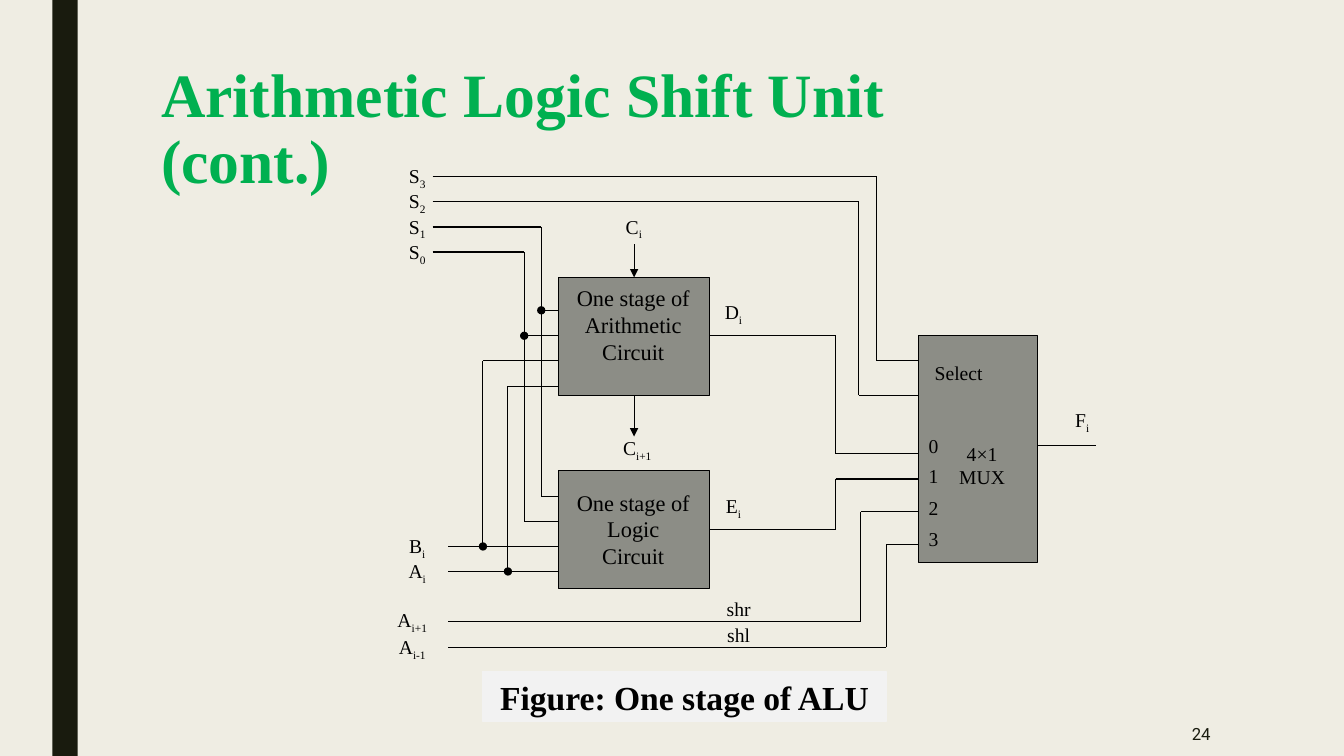
from dataclasses import dataclass
from itertools import pairwise

from lxml import etree
from pptx import Presentation
from pptx import util as u
from pptx.dml.color import RGBColor
from pptx.enum import shapes, text
from pptx.oxml import ns
from pptx.shapes.autoshape import Shape
from pptx.slide import Slide


@dataclass(frozen=True)
class Theme:
    background: str = "EFEDE3"
    dark: str = "191B0E"
    title: str = "00B050"
    block: str = "8C8D86"
    caption: str = "F2F2F2"
    ink: str = "000000"
    serif: str = "Times New Roman"
    sans: str = "Roboto"
    title_size: int = 44
    caption_size: int = 24
    block_size: int = 16
    label_size: int = 14
    number_size: int = 12
    line_width: float = 0.75


@dataclass(frozen=True)
class Box:
    left: float
    top: float
    width: float
    height: float
    fill: str
    line: str | None = None


@dataclass(frozen=True)
class Label:
    words: str
    left: float
    top: float
    width: float
    height: float = 0.85
    subscript: str = ""
    size: int = 14
    color: str = "000000"
    font: str = "Times New Roman"
    bold: bool = False
    align: text.PP_ALIGN = text.PP_ALIGN.CENTER
    anchor: text.MSO_ANCHOR = text.MSO_ANCHOR.TOP
    spacing: float = 1.0


@dataclass(frozen=True)
class Wire:
    points: tuple[tuple[float, float], ...]
    head: str = ""
    tail: str = ""


THEME = Theme()

SELECT_START, INPUT_START = 10.9, 11.3
STAGE_LEFT, STAGE_RIGHT, STAGE_CENTER = 14.07, 17.88, 15.98
MUX_LEFT, MUX_RIGHT = 23.16, 26.14
S0_X, S1_X, S2_X, S3_X = 13.21, 13.64, 21.64, 22.1
A_X, B_X, SHR_X, SHL_X, RESULT_X = 12.8, 12.17, 21.69, 22.33, 21.06
ROW_STEP = 0.635

BOXES = (
    Box(1.32, 0, 0.64, 19.05, THEME.dark),
    Box(STAGE_LEFT, 6.99, 3.81, 2.97, THEME.block, THEME.ink),
    Box(STAGE_LEFT, 11.86, 3.81, 2.97, THEME.block, THEME.ink),
    Box(MUX_LEFT, 8.46, 2.98, 5.72, THEME.block, THEME.ink),
    Box(12.17, 16.92, 10.16, 1.27, THEME.caption, THEME.caption),
)

WIRES = (
    Wire(((SELECT_START, 4.45), (S3_X, 4.45), (S3_X, 9.09), (MUX_LEFT, 9.09))),
    Wire(((SELECT_START, 5.08), (S2_X, 5.08), (S2_X, 9.96), (MUX_LEFT, 9.96))),
    Wire(((SELECT_START, 5.72), (S1_X, 5.72), (S1_X, 12.5), (STAGE_LEFT, 12.5))),
    Wire(((SELECT_START, 6.35), (S0_X, 6.35), (S0_X, 13.13), (STAGE_LEFT, 13.13))),
    Wire(((S1_X, 7.82), (STAGE_LEFT, 7.82)), head="oval"),
    Wire(((S0_X, 8.46), (STAGE_LEFT, 8.46)), head="oval"),
    Wire(((INPUT_START, 13.77), (STAGE_LEFT, 13.77))),
    Wire(((INPUT_START, 14.4), (STAGE_LEFT, 14.4))),
    Wire(((B_X, 13.77), (B_X, 9.09), (STAGE_LEFT, 9.09)), head="oval"),
    Wire(((A_X, 14.4), (A_X, 9.73), (STAGE_LEFT, 9.73)), head="oval"),
    Wire(((INPUT_START, 15.67), (SHR_X, 15.67), (SHR_X, 12.9), (MUX_LEFT, 12.9))),
    Wire(((INPUT_START, 16.31), (SHL_X, 16.31), (SHL_X, 13.72), (MUX_LEFT, 13.72))),
    Wire(((STAGE_RIGHT, 8.46), (RESULT_X, 8.46), (RESULT_X, 11.43), (MUX_LEFT, 11.43))),
    Wire(((STAGE_RIGHT, 13.34), (RESULT_X, 13.34), (RESULT_X, 12.07), (MUX_LEFT, 12.07))),
    Wire(((STAGE_CENTER, 6.15), (STAGE_CENTER, 6.99)), tail="triangle"),
    Wire(((STAGE_CENTER, 9.96), (STAGE_CENTER, 11)), tail="triangle"),
    Wire(((MUX_RIGHT, 11.23), (27.61, 11.23))),
)

LABELS = (
    Label("Arithmetic Logic Shift Unit (cont.)", 3.81, 1.52, 23.24, 2.24,
          size=THEME.title_size, color=THEME.title, bold=True,
          align=text.PP_ALIGN.LEFT, spacing=0.89),
    *(Label("S", 9.88, 4.01 + ROW_STEP * row, 1.27, subscript=str(3 - row))
      for row in range(4)),
    *(Label(str(row), 23.11, top, 0.84)
      for row, top in enumerate((10.8, 11.56, 12.37, 13.16))),
    Label("B", 9.88, 13.34, 1.27, subscript="i"),
    Label("A", 9.88, 13.97, 1.27, subscript="i"),
    Label("A", 9.63, 15.19, 1.52, subscript="i+1"),
    Label("A", 9.63, 15.88, 1.52, subscript="i-1"),
    Label("Select", 22.99, 8.97, 2.34),
    Label("4×1 MUX", 23.8, 11, 1.9, 1.45),
    Label("C", 15.34, 5.28, 1.27, subscript="i"),
    Label("C", 15.11, 10.87, 1.9, subscript="i+1"),
    Label("One stage of Arithmetic Circuit", 14.27, 7.04, 3.38, 3, size=THEME.block_size),
    Label("One stage of Logic Circuit", 14.27, 12.19, 3.38, 2.31, size=THEME.block_size),
    Label("D", 17.75, 7.44, 1.47, subscript="i"),
    Label("E", 17.75, 12.32, 1.47, subscript="i"),
    Label("F", 26.54, 10.16, 1.47, subscript="i"),
    Label("shr", 17.88, 14.91, 1.47),
    Label("shl", 17.88, 15.57, 1.47),
    Label("Figure: One stage of ALU", 12.17, 16.92, 10.16, 1.27,
          size=THEME.caption_size, bold=True),
    Label("24", 26.31, 17.93, 4.45, 1.12, size=THEME.number_size, color=THEME.dark,
          font=THEME.sans, align=text.PP_ALIGN.RIGHT, anchor=text.MSO_ANCHOR.MIDDLE),
)


def color_of(value: str) -> RGBColor:
    return RGBColor.from_string(value)


def draw_box(slide: Slide, box: Box) -> Shape:
    shape = slide.shapes.add_shape(
        shapes.MSO_SHAPE.RECTANGLE,
        u.Cm(box.left), u.Cm(box.top), u.Cm(box.width), u.Cm(box.height))
    shape.shadow.inherit = False
    shape.fill.solid()
    shape.fill.fore_color.rgb = color_of(box.fill)
    if box.line:
        shape.line.color.rgb = color_of(box.line)
        shape.line.width = u.Pt(THEME.line_width)
    else:
        shape.line.fill.background()
    return shape


def draw_wire(slide: Slide, wire: Wire) -> None:
    segments = list(pairwise(wire.points))
    for index, (start, end) in enumerate(segments):
        connector = slide.shapes.add_connector(
            shapes.MSO_CONNECTOR.STRAIGHT, *(u.Cm(value) for value in (*start, *end)))
        connector.line.color.rgb = color_of(THEME.ink)
        connector.line.width = u.Pt(THEME.line_width)
        line = connector.line._get_or_add_ln()
        if wire.head and index == 0:
            etree.SubElement(line, ns.qn("a:headEnd"), type=wire.head)
        if wire.tail and index == len(segments) - 1:
            etree.SubElement(line, ns.qn("a:tailEnd"), type=wire.tail)
        etree.SubElement(connector._element.spPr, ns.qn("a:effectLst"))


def draw_label(slide: Slide, label: Label) -> None:
    shape = slide.shapes.add_textbox(
        u.Cm(label.left), u.Cm(label.top), u.Cm(label.width), u.Cm(label.height))
    frame = shape.text_frame
    frame.word_wrap = True
    frame.vertical_anchor = label.anchor
    paragraph = frame.paragraphs[0]
    paragraph.alignment = label.align
    paragraph.line_spacing = label.spacing
    for words, baseline in ((label.words, ""), (label.subscript, "-25000")):
        if not words:
            continue
        run = paragraph.add_run()
        run.text = words
        run.font.name = label.font
        run.font.size = u.Pt(label.size)
        run.font.bold = label.bold
        run.font.color.rgb = color_of(label.color)
        if baseline:
            run._r.get_or_add_rPr().set("baseline", baseline)


def main() -> None:
    presentation = Presentation()
    presentation.slide_width, presentation.slide_height = u.Cm(33.87), u.Cm(19.05)
    slide = presentation.slides.add_slide(presentation.slide_layouts[6])
    slide.background.fill.solid()
    slide.background.fill.fore_color.rgb = color_of(THEME.background)
    for box in BOXES:
        draw_box(slide, box)
    for wire in WIRES:
        draw_wire(slide, wire)
    for label in LABELS:
        draw_label(slide, label)
    presentation.save("out.pptx")


if __name__ == "__main__":
    main()
